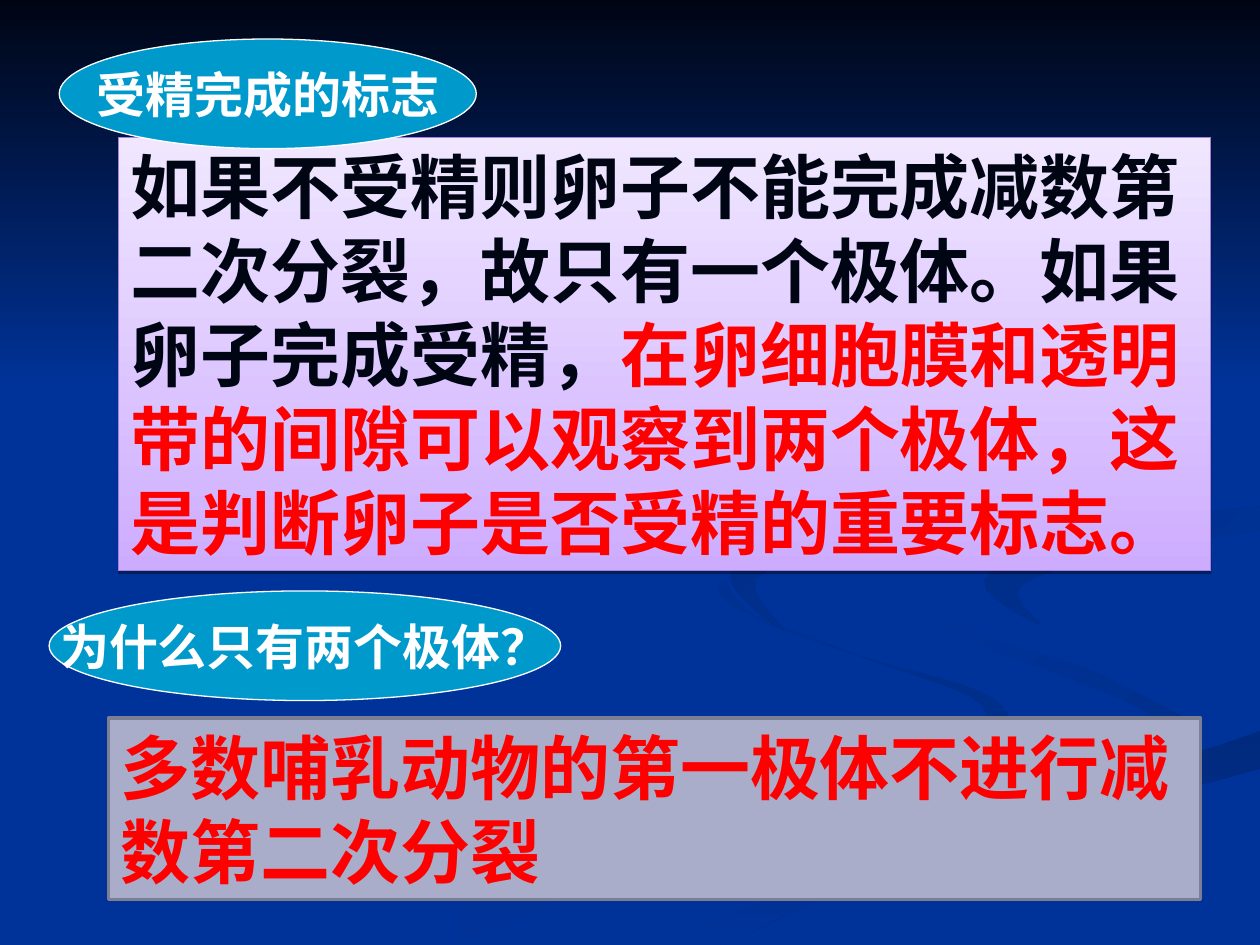
"""Build a slide on the sign that fertilisation is complete."""
from dataclasses import dataclass
from typing import Optional

from lxml.etree import SubElement
from pptx import Presentation
from pptx.dml.color import RGBColor
from pptx.enum.shapes import MSO_SHAPE
from pptx.enum.text import MSO_ANCHOR, MSO_AUTO_SIZE, PP_ALIGN
from pptx.oxml.ns import qn
from pptx.util import Inches, Pt

WIDE, HIGH = Inches(10), Inches(7.5)
COLS, ROWS = 100, 75
COL, ROW = WIDE / COLS, HIGH / ROWS
STEPS = 5
FONT = "Times New Roman"

BLUE = RGBColor(0x00, 0x33, 0x99)
NIGHT = RGBColor(0x00, 0x05, 0x14)
DUSK = RGBColor(0x00, 0x2E, 0x8B)
DEEP = RGBColor(0x00, 0x2A, 0x7D)
SHADE = RGBColor(0x00, 0x2D, 0x86)
DIM = RGBColor(0x00, 0x2B, 0x82)
LILAC = RGBColor(0xCD, 0xAC, 0xFF)
PALE = RGBColor(0xF0, 0xE7, 0xFF)
VIOLET = RGBColor(0xA4, 0x81, 0xDD)
TEAL = RGBColor(0x00, 0x99, 0xCC)
WHITE = RGBColor(0xFF, 0xFF, 0xFF)
GREY = RGBColor(0xAA, 0xAD, 0xCA)
SLATE = RGBColor(0x7C, 0x7E, 0x94)
RED = RGBColor(0xFF, 0x00, 0x00)

Spot = tuple[float, float]


@dataclass
class Paint:
    """A plain colour, or a fade from one colour to another."""
    start: RGBColor
    end: Optional[RGBColor] = None
    turn: float = 0


@dataclass
class Ribbon:
    """A closed background curve through a few knots in columns and rows."""
    paint: Paint
    knots: list[Spot]


@dataclass
class Panel:
    """A text panel, placed in columns and rows."""
    place: tuple[float, float, float, float]
    paint: Paint
    edge: RGBColor
    weight: float
    runs: list[tuple[str, RGBColor]]
    oval: bool = False
    shadow: bool = False


RIBBONS = [
    Ribbon(Paint(BLUE, DUSK), [
        (78, 55), (68, 52), (60, 49), (57.5, 46), (58, 48), (68, 52),
        (78, 56), (74, 60), (54, 65), (30, 75), (36, 75), (56, 66.5),
        (76, 61), (80, 58)]),
    Ribbon(Paint(BLUE, DUSK, 45), [
        (94, 57), (85, 52.5), (75, 49), (72.4, 46.4), (75, 50), (84, 53.5),
        (91.5, 57), (89.4, 60.5), (94, 58)]),
    Ribbon(Paint(DEEP, BLUE, 90), [
        (50.3, 75), (57, 75), (75, 67), (100, 61), (100, 58), (76, 65)]),
    Ribbon(Paint(BLUE), [
        (72.5, 46), (77, 50), (92, 55), (93, 59), (70, 65.5), (47.7, 75),
        (52, 75), (76, 65), (100, 58), (100, 54), (85, 50), (78, 46),
        (86, 42.5), (100, 40), (100, 38.7), (76, 43)]),
    Ribbon(Paint(SHADE, BLUE, 45), [
        (78.1, 46), (82.6, 49.6), (81, 46.5), (90, 43.5), (100, 42),
        (100, 40.2), (86, 42.4)]),
    Ribbon(Paint(DIM, BLUE, 45), [
        (68, 43), (85, 39), (89.4, 34), (76.2, 23.3), (89, 33.5), (82, 38.5),
        (62, 43), (58, 46), (62.2, 50), (60, 46)]),
]

PANELS = [
    Panel((9.4, 10.9, 86.7, 34.4), Paint(LILAC, PALE, 270), VIOLET, 0.75, [
        ("如果不受精则卵子不能完成减数第二次分裂，故只有一个极体。"
         "如果卵子完成受精，", NIGHT),
        ("在卵细胞膜和透明带的间隙可以观察到两个极体，"
         "这是判断卵子是否受精的重要标志。", RED)], shadow=True),
    Panel((4.7, 3.1, 33.1, 8.7), Paint(TEAL), WHITE, 0.75,
          [("受精完成的标志", WHITE)], oval=True),
    Panel((3.9, 46.9, 40.6, 8.7), Paint(TEAL), WHITE, 0.75,
          [("为什么只有两个极体？", WHITE)], oval=True),
    Panel((8.6, 57, 86.7, 14.4), Paint(GREY), SLATE, 2,
          [("多数哺乳动物的第一极体不进行减数第二次分裂", RED)]),
]


def coat(fill, paint: Paint) -> None:
    """Apply a plain or fading paint to a fill."""
    if paint.end is None:
        fill.solid()
        fill.fore_color.rgb = paint.start
        return
    fill.gradient()
    fill.gradient_angle = -paint.turn % 360
    for stop, color in zip(fill.gradient_stops, (paint.start, paint.end)):
        stop.color.rgb = color


def cast(shape) -> None:
    """Give a shape a thin shadow straight below it."""
    glow = shape.element.spPr.find(qn("a:effectLst"))
    drop = SubElement(glow, qn("a:outerShdw"), blurRad="0",
                      dist=str(Pt(1.6)), dir="5400000", rotWithShape="0")
    tint = SubElement(drop, qn("a:srgbClr"), val="000000")
    SubElement(tint, qn("a:alpha"), val="38000")


def blend(a: float, b: float, c: float, d: float, t: float) -> float:
    """Return the Catmull-Rom value between b and c at share t."""
    return b + t / 2 * (c - a + t * (2 * a - 5 * b + 4 * c - d
                                     + t * (3 * (b - c) + d - a)))


def curve(knots: list[Spot]) -> list[Spot]:
    """Return a smooth closed line through the knots, kept on the slide."""
    count = len(knots)
    spots = []
    for i in range(count):
        near = [knots[(i + j) % count] for j in (-1, 0, 1, 2)]
        for step in range(STEPS):
            x, y = (blend(*axis, step / STEPS) for axis in zip(*near))
            spots.append((min(x, COLS) * COL, min(y, ROWS) * ROW))
    return spots


def sweep(slide, ribbon: Ribbon) -> None:
    """Draw one background curve."""
    spots = curve(ribbon.knots)
    pen = slide.shapes.build_freeform(*spots[0])
    pen.add_line_segments(spots[1:], close=True)
    finish(pen.convert_to_shape(), ribbon.paint)


def finish(shape, paint: Paint) -> None:
    """Paint a background shape without line or shadow."""
    shape.shadow.inherit = False
    shape.line.fill.background()
    coat(shape.fill, paint)


def board(slide, panel: Panel) -> None:
    """Draw one panel with its text."""
    x, y, w, h = panel.place
    kind = MSO_SHAPE.OVAL if panel.oval else MSO_SHAPE.RECTANGLE
    shape = slide.shapes.add_shape(kind, round(x * COL), round(y * ROW),
                                   round(w * COL), round(h * ROW))
    shape.shadow.inherit = False
    if panel.shadow:
        cast(shape)
    coat(shape.fill, panel.paint)
    shape.line.color.rgb = panel.edge
    shape.line.width = Pt(panel.weight)
    frame = shape.text_frame
    frame.word_wrap = not panel.oval
    frame.vertical_anchor = MSO_ANCHOR.MIDDLE if panel.oval else MSO_ANCHOR.TOP
    if not panel.oval:
        frame.auto_size = MSO_AUTO_SIZE.SHAPE_TO_FIT_TEXT
    para = frame.paragraphs[0]
    para.alignment = PP_ALIGN.CENTER if panel.oval else PP_ALIGN.LEFT
    for text, color in panel.runs:
        run = para.add_run()
        run.text = text
        run.font.name = FONT
        run.font.size = Pt(28 if panel.oval else 40)
        run.font.bold = True
        run.font.color.rgb = color


def main() -> None:
    """Build and save the slide."""
    deck = Presentation()
    deck.slide_width, deck.slide_height = WIDE, HIGH
    slide = deck.slides.add_slide(deck.slide_layouts[6])
    coat(slide.background.fill, Paint(BLUE))
    for ribbon in RIBBONS:
        sweep(slide, ribbon)
    sky = slide.shapes.add_shape(MSO_SHAPE.RECTANGLE, 0, 0, WIDE,
                                 round(30.8 * ROW))
    finish(sky, Paint(NIGHT, BLUE, 90))
    for panel in PANELS:
        board(slide, panel)
    deck.save("out.pptx")


if __name__ == "__main__":
    main()
